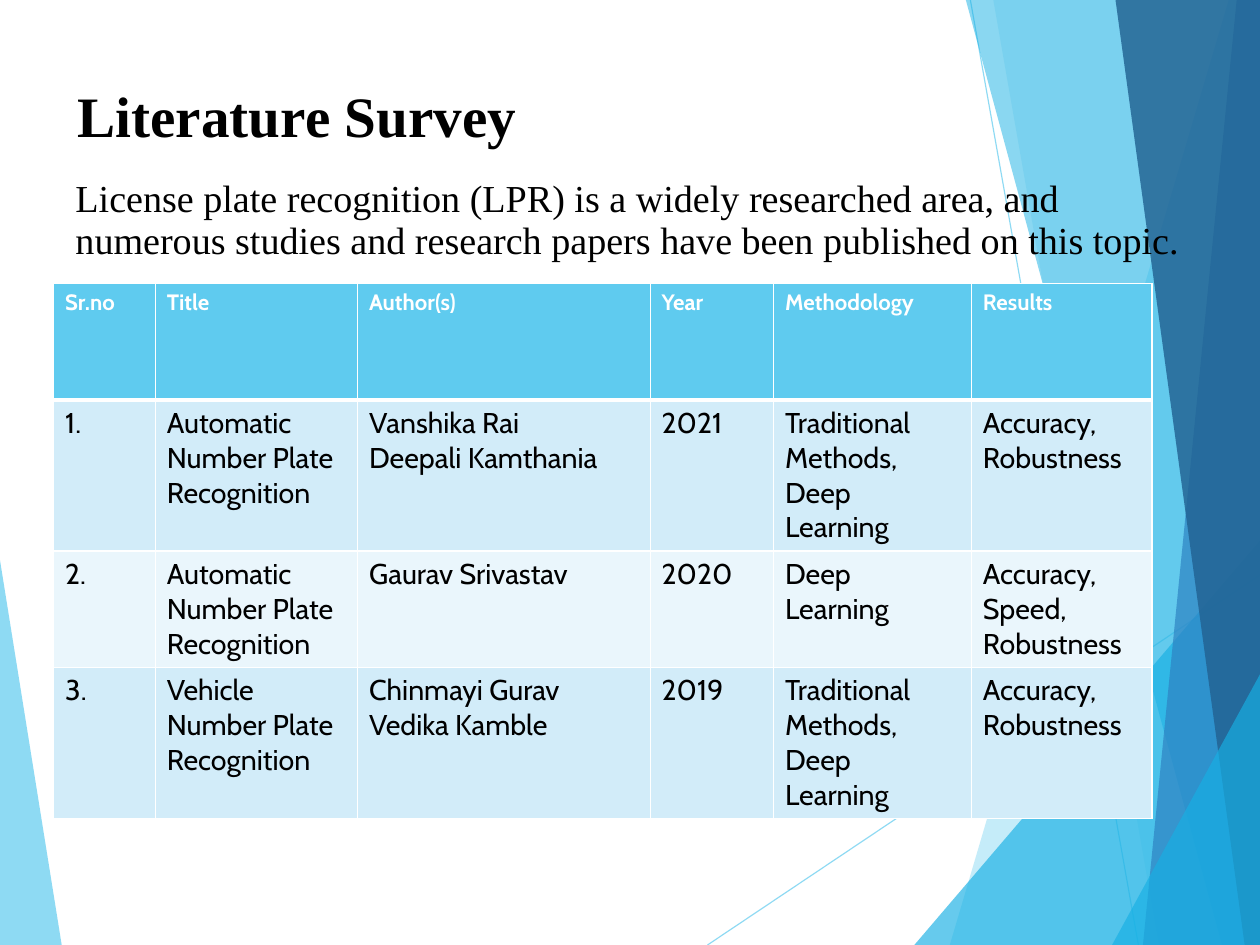
from lxml import etree
from pptx import Presentation
from pptx import util as u
from pptx.dml.color import RGBColor
from pptx.enum import shapes, text
from pptx.oxml import ns

WIDTH, HEIGHT = u.Cm(28).inches, u.Cm(21).inches
SERIF, SANS = "Times New Roman", "Cabin"
BLACK, WHITE, SKY = "000000", "FFFFFF", "5FCBEF"
BANDS = ["D2ECF9", "EAF6FC"]

TITLE = "Literature Survey"
INTRO = ("License plate recognition (LPR) is a widely researched area, and "
         "numerous studies and research papers have been published on this topic.")
HEADER = ["Sr.no", "Title", "Author(s)", "Year", "Methodology", "Results"]
STUDIES = [
    ["1.", "Automatic Number Plate Recognition", "Vanshika Rai\nDeepali Kamthania",
     "2021", "Traditional Methods, Deep Learning", "Accuracy, Robustness"],
    ["2.", "Automatic Number Plate Recognition", "Gaurav Srivastav",
     "2020", "Deep Learning", "Accuracy, Speed, Robustness"],
    ["3.", "Vehicle Number Plate\nRecognition", "Chinmayi Gurav\nVedika Kamble",
     "2019", "Traditional Methods, Deep Learning", "Accuracy, Robustness"],
]
COLUMN_WIDTHS = [0.89, 1.77, 2.56, 1.08, 1.73, 1.58]
ROW_HEIGHTS = [1.02, 1.32, 1.02, 1.32]

# Decoration, back to front: corner points, colour, opacity in percent
LEFT_WEDGE = ([(0, 4.9), (0.54, HEIGHT), (0, HEIGHT)], SKY, 70)
RAYS = [((6.19, HEIGHT), (WIDTH, 5.03)), ((8.49, 0), (9.96, HEIGHT))]


def panel(top_x, bottom_x):
    """Corners of a panel that reaches the right edge of the slide."""
    return [(top_x, 0), (bottom_x, HEIGHT), (WIDTH, HEIGHT), (WIDTH, 0)]


def corner(left, top):
    """Corners of a triangle in the bottom right of the slide."""
    return [(left, HEIGHT), (WIDTH, top), (WIDTH, HEIGHT)]


PANELS = [
    (panel(10.75, 8.31), SKY, 36),
    (panel(8.69, 10.14), SKY, 20),
    (corner(8, 4.73), "17B0E4", 66),
    (panel(8.45, 10.69), "17B0E4", 50),
    (panel(10.82, 10), "2E83C3", 70),
    (panel(9.76, 10.89), "226292", 82),
    (corner(9.73, 5.9), "17B0E4", 66),
]


def color(value):
    return RGBColor.from_string(value)


def set_opacity(element, percent):
    for node in element.spPr.iter(ns.qn("a:srgbClr")):
        etree.SubElement(node, ns.qn("a:alpha"), val=str(percent * 1000))


def add_polygon(slide, points, fill, opacity):
    corners = [(u.Inches(x), u.Inches(y)) for x, y in points]
    builder = slide.shapes.build_freeform(*corners[0])
    builder.add_line_segments(corners[1:], close=True)
    shape = builder.convert_to_shape()
    shape.shadow.inherit = False
    shape.fill.solid()
    shape.fill.fore_color.rgb = color(fill)
    shape.line.fill.background()
    set_opacity(shape._element, opacity)


def add_ray(slide, start, end):
    points = [u.Inches(value) for value in start + end]
    ray = slide.shapes.add_connector(shapes.MSO_CONNECTOR.STRAIGHT, *points)
    ray.line.color.rgb = color(SKY)
    ray.line.width = u.Pt(0.75)
    set_opacity(ray._element, 70)
    etree.SubElement(ray._element.spPr, ns.qn("a:effectLst"))


def place(shape, left, top, width, height):
    shape.left, shape.top = u.Inches(left), u.Inches(top)
    shape.width, shape.height = u.Inches(width), u.Inches(height)


def set_font(paragraph, name, size, value, bold=False):
    font = paragraph.font
    font.name, font.size, font.bold = name, u.Pt(size), bold
    font.color.rgb = color(value)


def write(shape, content, size, bold, anchor, inset):
    frame = shape.text_frame
    frame.text = content
    frame.word_wrap = True
    frame.auto_size = text.MSO_AUTO_SIZE.NONE
    frame.vertical_anchor = anchor
    frame.margin_left, frame.margin_top = u.Inches(inset), u.Inches(0.03)
    frame.margin_right = frame.margin_bottom = 0
    paragraph = frame.paragraphs[0]
    paragraph.alignment = text.PP_ALIGN.LEFT
    paragraph.line_spacing = 0.93
    set_font(paragraph, SERIF, size, BLACK, bold)


def set_borders(cell, top, bottom):
    """White borders; top and bottom widths in points."""
    properties = cell._tc.get_or_add_tcPr()
    sides = [("lnL", 1), ("lnR", 1), ("lnT", top), ("lnB", bottom)]
    for index, (side, width) in enumerate(sides):
        line = etree.Element(ns.qn("a:" + side), w=str(u.Pt(width)))
        fill = etree.SubElement(line, ns.qn("a:solidFill"))
        etree.SubElement(fill, ns.qn("a:srgbClr"), val=WHITE)
        properties.insert(index, line)


def add_survey_table(slide):
    rows = [HEADER] + STUDIES
    frame = slide.shapes.add_table(
        len(rows), len(HEADER), u.Inches(0.47), u.Inches(2.48),
        u.Inches(sum(COLUMN_WIDTHS)), u.Inches(sum(ROW_HEIGHTS)))
    table = frame.table
    table.horz_banding = False
    for column, width in zip(table.columns, COLUMN_WIDTHS):
        column.width = u.Inches(width)
    for row_index, values in enumerate(rows):
        table.rows[row_index].height = u.Inches(ROW_HEIGHTS[row_index])
        is_header = row_index == 0
        size, ink = (14, WHITE) if is_header else (18, BLACK)
        for column_index, value in enumerate(values):
            cell = table.cell(row_index, column_index)
            cell.text = value
            cell.fill.solid()
            cell.fill.fore_color.rgb = color(SKY if is_header else BANDS[(row_index - 1) % 2])
            set_borders(cell, 3 if row_index == 1 else 1, 3 if is_header else 1)
            for paragraph in cell.text_frame.paragraphs:
                set_font(paragraph, SANS, size, ink, is_header)


def main():
    presentation = Presentation()
    presentation.slide_width, presentation.slide_height = u.Inches(WIDTH), u.Inches(HEIGHT)
    slide = presentation.slides.add_slide(presentation.slide_layouts[5])

    add_polygon(slide, *LEFT_WEDGE)
    for start, end in RAYS:
        add_ray(slide, start, end)
    for points, fill, opacity in PANELS:
        add_polygon(slide, points, fill, opacity)

    title = slide.shapes.title
    slide.shapes._spTree.append(title._element)  # in front of the decoration
    place(title, 0.55, 0.33, 9.92, 1.38)
    write(title, TITLE, 36, True, text.MSO_ANCHOR.MIDDLE, 0.13)

    intro = slide.shapes.add_textbox(0, 0, 0, 0)
    place(intro, 0.54, 1.53, 9.92, 6.4)
    write(intro, INTRO, 24, False, text.MSO_ANCHOR.TOP, 0.12)

    add_survey_table(slide)
    presentation.save("out.pptx")


if __name__ == "__main__":
    main()
